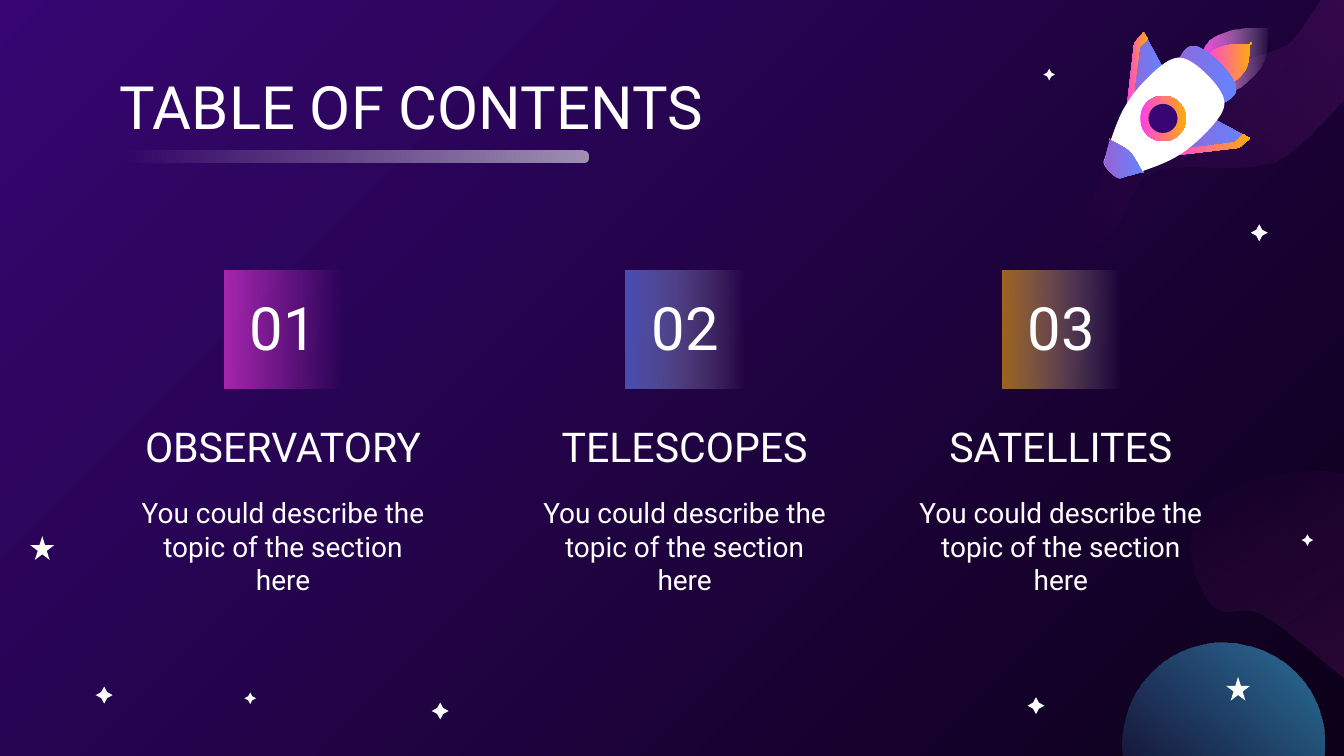
import pptx
import pptx.util
import pptx.dml.color
import pptx.enum.shapes
import pptx.enum.text
import pptx.oxml
from pptx.util import Cm

FONT = "Roboto"
WHITE, STAR_WHITE = "FFFFFF", "F9FBFC"
PINK, ORANGE, BLUE, VIOLET, INDIGO = "FF3FEA", "FFAB0C", "6384FF", "9663D4", "370672"
FLAME = ((PINK, 100), (ORANGE, 100))
HULL = ((VIOLET, 100), (BLUE, 100))
HAZE = ((PINK, 17), (PINK, 0))
UNIT = Cm(0.0254)  # grid on which outline points are written
CURVE_STEPS = 8

SHAPES = pptx.enum.shapes.MSO_SHAPE
ALIGN = pptx.enum.text.PP_ALIGN
ANCHOR = pptx.enum.text.MSO_ANCHOR

# A point written twice makes a corner in a curve.
TOP_CLOUD = [
    (795, 199), (795, 199), (827, 113), (855, 64), (912, 49), (952, 36), (965, 26),
    (1006, -24), (1071, -33), (1156, -70), (1069, -5), (1005, 69), (959, 114),
    (928, 124), (857, 128), (830, 170),
]
SIDE_CLOUD = [
    (1101, 522), (1060, 530), (1013, 513), (941, 458), (903, 451),
    (886, 401), (917, 363), (1000, 352), (1081, 391), (1118, 455),
]
# The rocket lies along a diagonal: these are the halves above it.
ROCKET_AXIS = 954
BODY_HALF = [(822, 123), (823, 115), (835, 83), (851, 61), (872, 44), (888, 47)]
NOSE_HALF = [(822, 123), (823, 115), (826, 104), (826, 104), (838, 111)]
ENGINE_HALF = [(870, 58), (870, 58), (883, 36), (897, 38)]
FIN = [(865, 50), (838, 83), (844, 32), (851, 24)]
FIN_EDGE = FIN[1:] + [(854, 29), (848, 35), (842, 82)]
FLAME_TIP = (943, 21)
FLAME_OUTLINE = [FLAME_TIP, FLAME_TIP, (938, 49), (913, 69), (893, 56), (898, 32), (919, 22)]

# centres in cm
LARGE_SPARKLES = [(8.32, 13.44), (1.97, 13.14), (19.58, 13.34), (23.8, 4.4)]
SMALL_SPARKLES = [(4.73, 13.2), (24.71, 10.21), (19.83, 1.41)]
STARS = [(0.8, 10.36), (23.4, 13.02)]
# left edge in cm, number, heading, badge gradient
SECTIONS = [
    (2.29, "01", "OBSERVATORY", ((PINK, 58), (PINK, 0))),
    (9.88, "02", "TELESCOPES", ((BLUE, 58), (WHITE, 0))),
    (16.99, "03", "SATELLITES", ((ORANGE, 58), (WHITE, 0))),
]


def color(value):
    return pptx.dml.color.RGBColor.from_string(value)


def fill_gradient(fill, holder, stops, angle):
    """Fill with (colour, opacity) stops; the angle runs clockwise."""
    fill.gradient()
    fill.gradient_angle = -angle % 360
    for stop, (value, _) in zip(fill.gradient_stops, stops):
        stop.color.rgb = color(value)
    for node, (_, opacity) in zip(holder.xpath(".//a:gs/a:srgbClr"), stops):
        if opacity < 100:
            alpha = pptx.oxml.xmlchemy.OxmlElement("a:alpha")
            alpha.set("val", str(opacity * 1000))
            node.append(alpha)


def paint(shape, look, angle=0):
    """Give a shape one colour or a gradient, without line or shadow."""
    shape.shadow.inherit = False
    if isinstance(look, str):
        shape.fill.solid()
        shape.fill.fore_color.rgb = color(look)
    else:
        fill_gradient(shape.fill, shape._element.spPr, look, angle)
    shape.line.fill.background()


def add_preset(shapes, kind, left, top, width, height, look, angle=0):
    shape = shapes.add_shape(kind, Cm(left), Cm(top), Cm(width), Cm(height))
    paint(shape, look, angle)
    return shape


def add_centered(shapes, kind, center, size, look):
    x, y = center
    return add_preset(shapes, kind, x - size / 2, y - size / 2, size, size, look)


def add_polygon(shapes, points, look, angle=0):
    points = [(x * UNIT, y * UNIT) for x, y in points]
    builder = shapes.build_freeform(*points[0])
    builder.add_line_segments(points[1:])
    paint(builder.convert_to_shape(), look, angle)


def smooth(points):
    """Run a closed Catmull-Rom curve through the points."""
    curve = []
    for i in range(len(points)):
        corners = [points[(i + k) % len(points)] for k in (-1, 0, 1, 2)]
        for step in range(CURVE_STEPS):
            t = step / CURVE_STEPS
            curve.append(tuple(
                b + t / 2 * (c - a + t * (2 * a - 5 * b + 4 * c - d
                                          + t * (3 * b - a - 3 * c + d)))
                for a, b, c, d in zip(*corners)))
    return curve


def mirror(points):
    return [(ROCKET_AXIS - y, ROCKET_AXIS - x) for x, y in reversed(points)]


def shrink_flame(ratio, tip):
    return [tuple(t + ratio * (p - f) for t, p, f in zip(tip, point, FLAME_TIP))
            for point in FLAME_OUTLINE]


def add_rocket(page):
    shapes = page.shapes.add_group_shape().shapes
    add_polygon(shapes, smooth(FLAME_OUTLINE), ((PINK, 100), (WHITE, 0)))
    add_polygon(shapes, smooth(shrink_flame(0.68, (930, 33))), FLAME)
    add_polygon(shapes, smooth(ENGINE_HALF + mirror(ENGINE_HALF)), HULL)
    for fin, edge in ((FIN, FIN_EDGE), (mirror(FIN), mirror(FIN_EDGE))):
        add_polygon(shapes, fin, HULL)
        add_polygon(shapes, edge, FLAME)
    for half, look in ((BODY_HALF, WHITE), (NOSE_HALF, HULL)):
        add_polygon(shapes, smooth(half + mirror(half)), look)
    for size, look in ((0.86, FLAME), (0.55, INDIGO)):
        add_centered(shapes, SHAPES.OVAL, (21.98, 2.24), size, look)


def add_stars(page):
    shapes = page.shapes.add_group_shape().shapes
    for centers, size in ((LARGE_SPARKLES, 0.32), (SMALL_SPARKLES, 0.22)):
        for center in centers:
            sparkle = add_centered(shapes, SHAPES.STAR_4_POINT, center, size, STAR_WHITE)
            sparkle.adjustments[0] = 0.25
    for center in STARS:
        add_centered(shapes, SHAPES.STAR_5_POINT, center, 0.45, WHITE)


def set_text(shape, text, size, align, anchor, top_inset=0.25):
    frame = shape.text_frame
    frame.word_wrap = True
    frame.vertical_anchor = anchor
    frame.margin_left = frame.margin_right = frame.margin_bottom = Cm(0.25)
    frame.margin_top = Cm(top_inset)
    para = frame.paragraphs[0]
    para.text = text
    para.alignment = align
    para.font.name = FONT
    para.font.size = pptx.util.Pt(size)
    para.font.color.rgb = color(WHITE)


def add_text(page, left, top, width, height, text, size,
             align=ALIGN.CENTER, anchor=ANCHOR.TOP):
    box = page.shapes.add_textbox(Cm(left), Cm(top), Cm(width), Cm(height))
    set_text(box, text, size, align, anchor)


def add_section(page, left, number, heading, look):
    badge = add_preset(page.shapes, SHAPES.RECTANGLE, left + 1.95, 5.11, 2.24, 2.24, look)
    set_text(badge, number, 32, ALIGN.CENTER, ANCHOR.MIDDLE, top_inset=0.15)
    add_text(page, left, 7.67, 6.12, 1.47, heading, 22, anchor=ANCHOR.BOTTOM)
    add_text(page, left, 9.12, 6.12, 2.46,
             "You could describe the topic of the section here", 15)


def main():
    deck = pptx.Presentation()
    deck.slide_width, deck.slide_height = Cm(25.4), Cm(14.29)
    page = deck.slides.add_slide(deck.slide_layouts[6])
    fill_gradient(page.background.fill, page._element, (("0C0019", 100), (INDIGO, 100)), 225)

    add_polygon(page.shapes, smooth(TOP_CLOUD), HAZE, 150)
    add_polygon(page.shapes, smooth(SIDE_CLOUD), HAZE, 240)
    add_preset(page.shapes, SHAPES.OVAL, 21.21, 12.14, 3.82, 3.82,
               (("44CAFF", 0), ("44CAFF", 56)), 315)
    add_stars(page)

    add_text(page, 2.01, 1.07, 21.41, 1.65, "TABLE OF CONTENTS", 32, ALIGN.LEFT)
    for section in SECTIONS:
        add_section(page, *section)
    underline = add_preset(page.shapes, SHAPES.ROUNDED_RECTANGLE, 2.29, 2.84, 8.84, 0.23,
                           ((WHITE, 0), (WHITE, 56)))
    underline.adjustments[0] = 0.5
    add_rocket(page)
    deck.save("out.pptx")


if __name__ == "__main__":
    main()
